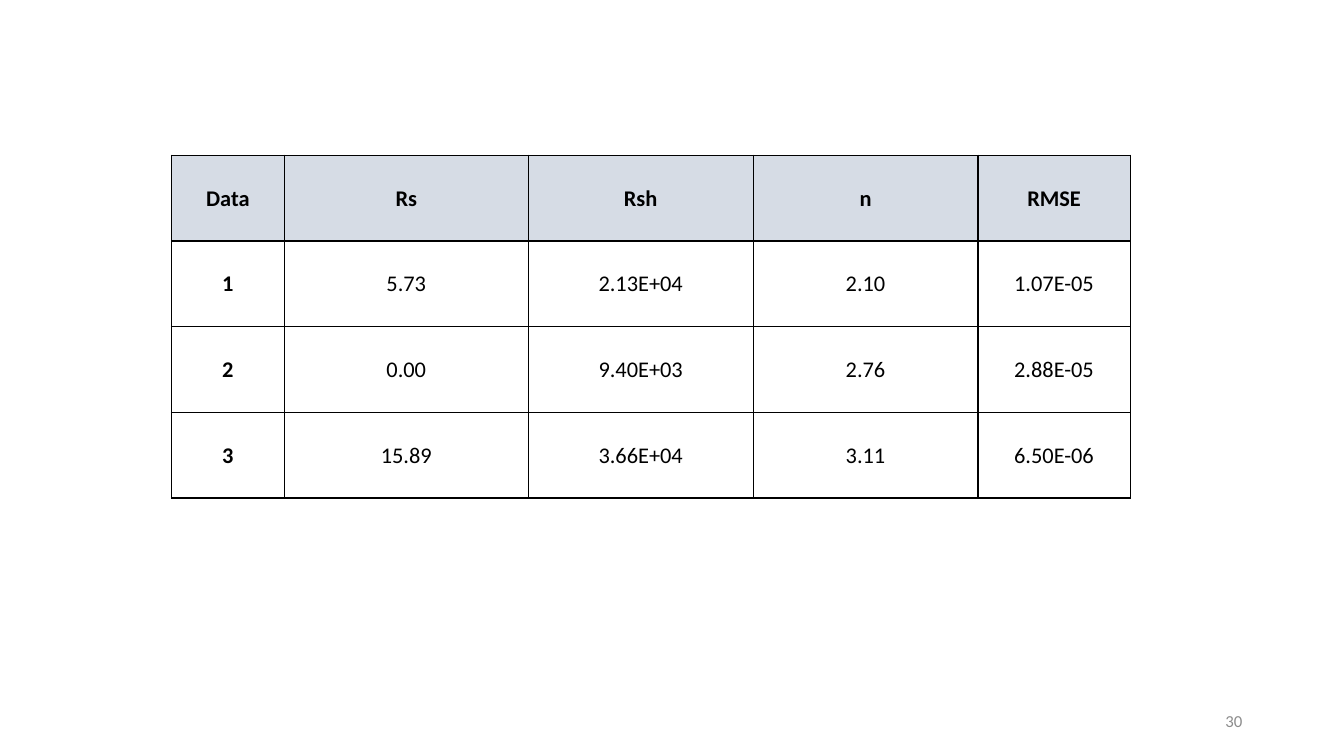
from lxml import etree
from pptx import Presentation
from pptx.dml.color import RGBColor
from pptx.enum.text import MSO_ANCHOR, PP_ALIGN
from pptx.oxml.ns import qn
from pptx.util import Inches, Pt

MIDDLE = MSO_ANCHOR.MIDDLE
CENTER, RIGHT = PP_ALIGN.CENTER, PP_ALIGN.RIGHT

THEME = {
    "font": "Calibri",
    "text": "000000",
    "border": "000000",
    "header": "D6DCE5",
    "number": "8C8C8C",
    "table_size": 16,
    "number_size": 12,
    "border_width": 1,
}

ROWS = [
    ("Data", "Rs", "Rsh", "n", "RMSE"),
    ("1", "5.73", "2.13E+04", "2.10", "1.07E-05"),
    ("2", "0.00", "9.40E+03", "2.76", "2.88E-05"),
    ("3", "15.89", "3.66E+04", "3.11", "6.50E-06"),
]
COL_WIDTHS = [1.12, 2.42, 2.23, 2.23, 1.51]
ROW_HEIGHT = 0.85
TABLE_LEFT, TABLE_TOP = 1.7, 1.54


def style_paragraph(p, align, size, color, bold=False):
    p.alignment = align
    p.font.name = THEME["font"]
    p.font.size = Pt(size)
    p.font.bold = bold
    p.font.color.rgb = RGBColor.from_string(color)


def add_borders(cell):
    tc_pr = cell._tc.get_or_add_tcPr()
    for side in ("a:lnL", "a:lnR", "a:lnT", "a:lnB"):
        ln = etree.SubElement(tc_pr, qn(side), w=str(Pt(THEME["border_width"])))
        fill = etree.SubElement(ln, qn("a:solidFill"))
        etree.SubElement(fill, qn("a:srgbClr"), val=THEME["border"])


prs = Presentation()
prs.slide_width, prs.slide_height = Inches(13.33), Inches(7.5)
s = prs.slides.add_slide(prs.slide_layouts[6])

# Table of fitted parameters
table = s.shapes.add_table(
    len(ROWS), len(COL_WIDTHS), Inches(TABLE_LEFT), Inches(TABLE_TOP),
    Inches(sum(COL_WIDTHS)), Inches(ROW_HEIGHT * len(ROWS))).table
table.horz_banding = False
for column, width in zip(table.columns, COL_WIDTHS):
    column.width = Inches(width)

for r, values in enumerate(ROWS):
    table.rows[r].height = Inches(ROW_HEIGHT)
    for c, value in enumerate(values):
        cell = table.cell(r, c)
        cell.text = value
        cell.vertical_anchor = MIDDLE
        cell.margin_left = cell.margin_right = cell.margin_top = Inches(0.01)
        cell.margin_bottom = 0
        style_paragraph(cell.text_frame.paragraphs[0], CENTER,
                        THEME["table_size"], THEME["text"], r == 0 or c == 0)
        add_borders(cell)
        if r == 0:
            cell.fill.solid()
            cell.fill.fore_color.rgb = RGBColor.from_string(THEME["header"])
        else:
            cell.fill.background()

# Slide number
tf = s.shapes.add_textbox(Inches(9.42), Inches(6.95), Inches(3), Inches(0.4)).text_frame
tf.word_wrap = True
tf.vertical_anchor = MIDDLE
tf.text = "30"
style_paragraph(tf.paragraphs[0], RIGHT, THEME["number_size"], THEME["number"])

prs.save("out.pptx")
